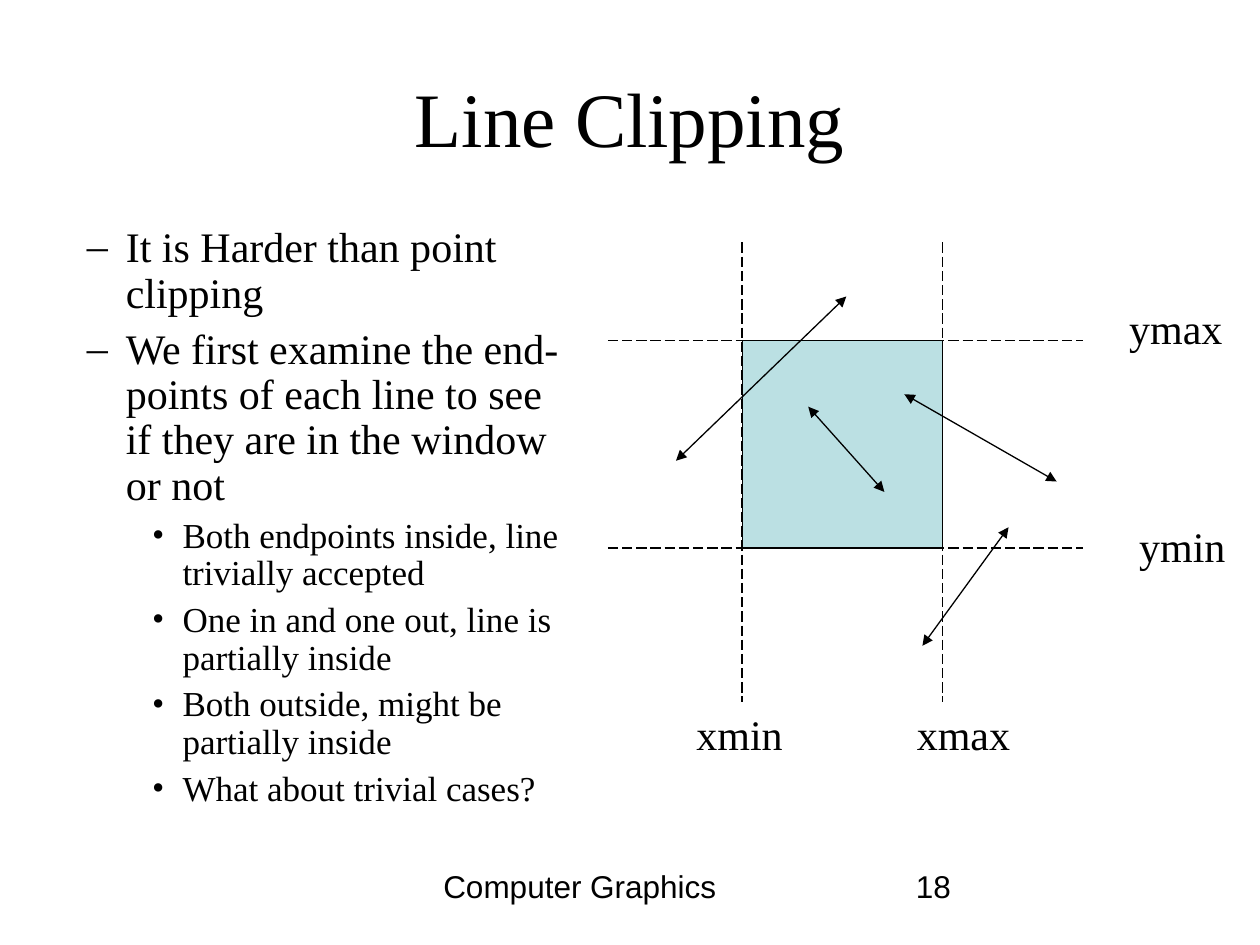
from lxml import etree
from pptx import Presentation
from pptx.dml.color import RGBColor
from pptx.enum.dml import MSO_LINE
from pptx.enum.shapes import MSO_CONNECTOR, MSO_SHAPE
from pptx.enum.text import MSO_ANCHOR, MSO_AUTO_SIZE, PP_ALIGN
from pptx.oxml.ns import qn
from pptx.util import Inches, Pt

STRAIGHT = MSO_CONNECTOR.STRAIGHT
RECTANGLE = MSO_SHAPE.RECTANGLE
LONG_DASH = MSO_LINE.LONG_DASH
MIDDLE = MSO_ANCHOR.MIDDLE
GROW = MSO_AUTO_SIZE.SHAPE_TO_FIT_TEXT
CENTER = PP_ALIGN.CENTER
LEFT = PP_ALIGN.LEFT

SERIF, SANS = "Times New Roman", "Arial"
BLACK, WINDOW_BLUE = "000000", "BBE0E3"

# Outline level: bullet, text indent, hanging indent, size, space before
LEVELS = {
    1: ("–", 0.9, -0.31, 24, 6),
    2: ("•", 1.35, -0.24, 20, 5),
}
OUTLINE = [
    (1, "It is Harder than point clipping"),
    (1, "We first examine the end-points of each line to see "
        "if they are in the window or not"),
    (2, "Both endpoints inside, line trivially accepted"),
    (2, "One in and one out, line is partially inside"),
    (2, "Both outside, might be partially inside"),
    (2, "What about trivial cases?"),
]

# Diagram coordinates count in clip windows: (0, 0) is its top left corner
# and (1, 1) its bottom right corner.
GRID_LEFT, GRID_RIGHT = -0.67, 1.7
GRID_TOP, GRID_BOTTOM = -0.47, 1.74
SEGMENTS = [
    ((0.33, 0.32), (0.71, 0.73)),
    ((0.52, -0.21), (-0.33, 0.58)),
    ((1.57, 0.68), (0.81, 0.26)),
    ((1.33, 0.9), (0.9, 1.47)),
]
BOUND_LABELS = [
    ("ymin", 1.92, 0.84, 0.9),
    ("ymax", 1.87, -0.21, 0.95),
    ("xmin", -0.29, GRID_BOTTOM, 0.9),
    ("xmax", 0.81, GRID_BOTTOM, 0.95),
]


def color(hex_string):
    return RGBColor.from_string(hex_string)


def add_run(paragraph, text, size, font):
    run = paragraph.add_run()
    run.text = text
    run.font.size = Pt(size)
    run.font.name = font
    run.font.color.rgb = color(BLACK)


def add_frame(shapes, box, wrap=True):
    frame = shapes.add_textbox(*map(Inches, box)).text_frame
    frame.word_wrap = wrap
    if not wrap:
        frame.auto_size = GROW
    return frame


def add_label(shapes, box, text, size, font, align=LEFT, wrap=True):
    frame = add_frame(shapes, box, wrap)
    paragraph = frame.paragraphs[0]
    paragraph.alignment = align
    add_run(paragraph, text, size, font)
    return frame


def add_line(shapes, start, end, dashed=False, arrows=False):
    line = shapes.add_connector(STRAIGHT, *map(Inches, (*start, *end)))
    line.line.color.rgb = color(BLACK)
    line.line.width = Pt(0.75)
    if dashed:
        line.line.dash_style = LONG_DASH
    properties = line._element.spPr
    if arrows:
        outline = properties.find(qn("a:ln"))
        for tag in ("a:headEnd", "a:tailEnd"):
            etree.SubElement(outline, qn(tag), type="triangle")
    etree.SubElement(properties, qn("a:effectLst"))


def add_title(shapes, box):
    frame = add_label(shapes, box, "Line Clipping", 44, SERIF, CENTER)
    frame.vertical_anchor = MIDDLE


def add_outline(shapes, box):
    frame = add_frame(shapes, box)
    for index, (level, text) in enumerate(OUTLINE):
        bullet, indent, hanging, size, space = LEVELS[level]
        paragraph = frame.add_paragraph() if index else frame.paragraphs[0]
        paragraph.level = level
        paragraph.line_spacing = 0.9
        paragraph.space_before = Pt(space if index else 0)
        properties = paragraph._p.get_or_add_pPr()
        properties.set("marL", str(Inches(indent)))
        properties.set("indent", str(Inches(hanging)))
        etree.SubElement(properties, qn("a:buFont"), typeface=SERIF)
        etree.SubElement(properties, qn("a:buChar"), char=bullet)
        add_run(paragraph, text, size, SERIF)


def add_clipping_diagram(shapes, window):
    left, top, width, height = window

    def at(column, row):
        return left + column * width, top + row * height

    # Window bounds, extended across the plane
    for row in (0, 1):
        add_line(shapes, at(GRID_LEFT, row), at(GRID_RIGHT, row), dashed=True)
    for column in (0, 1):
        add_line(shapes, at(column, GRID_TOP), at(column, GRID_BOTTOM),
                 dashed=True)

    # Clip window
    clip_window = shapes.add_shape(RECTANGLE, *map(Inches, window))
    clip_window.shadow.inherit = False
    clip_window.fill.solid()
    clip_window.fill.fore_color.rgb = color(WINDOW_BLUE)
    clip_window.line.color.rgb = color(BLACK)
    clip_window.line.width = Pt(0.75)

    # Names of the bounds
    for name, column, row, label_width in BOUND_LABELS:
        add_label(shapes, (*at(column, row), label_width, 0.5), name, 24,
                  SERIF, wrap=False)

    # Lines to be clipped
    for start, end in SEGMENTS:
        add_line(shapes, at(*start), at(*end), arrows=True)


def add_footer(shapes, box):
    left, top, width, height = box
    add_label(shapes, (left, top, 0.52 * width, height),
              "Computer Graphics", 18, SANS)
    add_label(shapes, (left + 3.75, top, width - 3.75, height),
              "18", 18, SANS)


def main():
    presentation = Presentation()
    presentation.slide_width = Inches(10)
    presentation.slide_height = Inches(7.5)
    slide = presentation.slides.add_slide(presentation.slide_layouts[6])

    add_footer(slide.shapes, (3.42, 6.83, 6.08, 0.51))
    add_title(slide.shapes, (0.5, 0.3, 9, 1.25))
    add_outline(slide.shapes, (0, 1.75, 4.58, 5.1))
    diagram = slide.shapes.add_group_shape()
    add_clipping_diagram(diagram.shapes, (5.89, 2.7, 1.59, 1.65))

    presentation.save("out.pptx")


if __name__ == "__main__":
    main()
